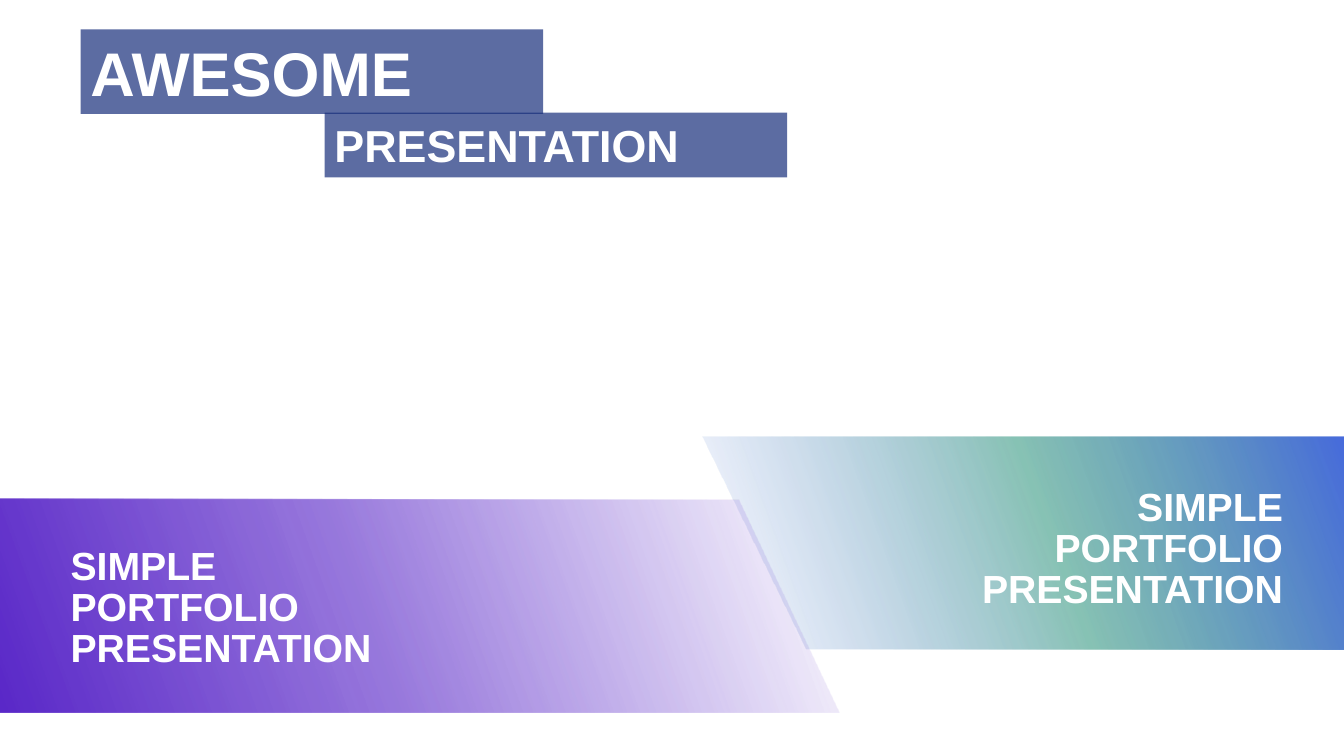
"""Build a portfolio cover slide with two title banners and two slanted gradient bands."""
from dataclasses import dataclass

from lxml.etree import SubElement
from pptx import Presentation
from pptx.dml.color import RGBColor
from pptx.enum.shapes import MSO_SHAPE
from pptx.enum.text import MSO_ANCHOR, MSO_AUTO_SIZE, PP_ALIGN
from pptx.oxml.ns import qn
from pptx.shapes.autoshape import Shape
from pptx.shapes.shapetree import SlideShapes
from pptx.text.text import TextFrame
from pptx.util import Cm, Pt

NAVY = RGBColor(0x17, 0x2E, 0x7B)
BLUE = RGBColor(0x47, 0x6A, 0xDD)
GREEN = RGBColor(0x39, 0x9A, 0x84)
PURPLE = RGBColor(0x5A, 0x28, 0xC8)
WHITE = RGBColor(0xFF, 0xFF, 0xFF)
FONT = "Arial"
BANNER_WIDTH = 11.66
BANNER_OPACITY = 70
CAPTION_WORDS = {"SIMPLE": 4.34, "PORTFOLIO": 6.35, "PRESENTATION": 7.95}
CAPTION_HEIGHT = 0.91
CAPTION_STEP = 1.03


@dataclass(frozen=True)
class Stop:
    position: int
    color: RGBColor
    opacity: int


@dataclass(frozen=True)
class Band:
    corners: tuple[tuple[float, float], ...]
    edge_color: RGBColor
    middle_color: RGBColor
    angle: int


@dataclass(frozen=True)
class Caption:
    edge: float
    top: float
    align: PP_ALIGN


@dataclass(frozen=True)
class Banner:
    title: str
    left: float
    top: float
    height: float
    size: int


BANDS = (
    Band(((33.93, 11), (17.7, 11), (20.32, 16.36), (33.93, 16.38)), BLUE, GREEN, 340),
    Band(((0, 12.57), (18.62, 12.6), (21.16, 17.96), (0, 17.96)), PURPLE, PURPLE, 160),
)
CAPTIONS = (
    Caption(1.78, 13.79, PP_ALIGN.LEFT),
    Caption(32.58, 12.29, PP_ALIGN.RIGHT),
)
BANNERS = (
    Banner("AWESOME", 2.03, 0.74, 2.13, 44),
    Banner("PRESENTATION", 8.18, 2.84, 1.63, 32),
)


def set_opacity(color_element, percent: int) -> None:
    SubElement(color_element, qn("a:alpha"), val=str(percent * 1000))


def fill_gradient(shape: Shape, stops: tuple[Stop, ...], angle: int) -> None:
    shape.fill.solid()
    properties = shape.element.spPr
    solid = properties.find(qn("a:solidFill"))
    gradient = SubElement(properties, qn("a:gradFill"), rotWithShape="1")
    properties.replace(solid, gradient)
    stop_list = SubElement(gradient, qn("a:gsLst"))
    for stop in stops:
        entry = SubElement(stop_list, qn("a:gs"), pos=str(stop.position * 1000))
        color = SubElement(entry, qn("a:srgbClr"), val=str(stop.color))
        set_opacity(color, stop.opacity)
    SubElement(gradient, qn("a:lin"), ang=str(angle * 60000), scaled="0")


def write_text(frame: TextFrame, text: str, size: int, align: PP_ALIGN) -> None:
    frame.text = text
    frame.word_wrap = True
    frame.vertical_anchor = MSO_ANCHOR.MIDDLE
    paragraph = frame.paragraphs[0]
    paragraph.alignment = align
    font = paragraph.runs[0].font
    font.name = FONT
    font.size = Pt(size)
    font.bold = True
    font.color.rgb = WHITE


def draw_band(shapes: SlideShapes, band: Band) -> None:
    start, *others = [(Cm(x), Cm(y)) for x, y in band.corners]
    builder = shapes.build_freeform(*start)
    builder.add_line_segments(others, close=True)
    outline = builder.convert_to_shape()
    outline.shadow.inherit = False
    outline.line.fill.background()
    stops = (
        Stop(0, band.edge_color, 0),
        Stop(54, band.middle_color, 60),
        Stop(100, band.edge_color, 100),
    )
    fill_gradient(outline, stops, band.angle)


def draw_caption(shapes: SlideShapes, caption: Caption) -> None:
    for row, (word, width) in enumerate(CAPTION_WORDS.items()):
        left = caption.edge - width if caption.align == PP_ALIGN.RIGHT else caption.edge
        top = caption.top + row * CAPTION_STEP
        line = shapes.add_textbox(Cm(left), Cm(top), Cm(width), Cm(CAPTION_HEIGHT))
        line.text_frame.margin_left = 0
        write_text(line.text_frame, word, 28, caption.align)


def draw_banner(shapes: SlideShapes, banner: Banner) -> None:
    bar = shapes.add_shape(
        MSO_SHAPE.RECTANGLE,
        Cm(banner.left), Cm(banner.top), Cm(BANNER_WIDTH), Cm(banner.height),
    )
    bar.shadow.inherit = False
    bar.line.fill.background()
    bar.fill.solid()
    bar.fill.fore_color.rgb = NAVY
    set_opacity(bar.element.spPr.find(qn("a:solidFill"))[0], BANNER_OPACITY)
    write_text(bar.text_frame, banner.title, banner.size, PP_ALIGN.JUSTIFY)
    bar.text_frame.auto_size = MSO_AUTO_SIZE.SHAPE_TO_FIT_TEXT


def main() -> None:
    presentation = Presentation()
    presentation.slide_width = Cm(33.87)
    presentation.slide_height = Cm(19.05)
    shapes = presentation.slides.add_slide(presentation.slide_layouts[6]).shapes
    for band in BANDS:
        draw_band(shapes, band)
    for caption in CAPTIONS:
        draw_caption(shapes, caption)
    for banner in BANNERS:
        draw_banner(shapes, banner)
    presentation.save("out.pptx")


if __name__ == "__main__":
    main()
